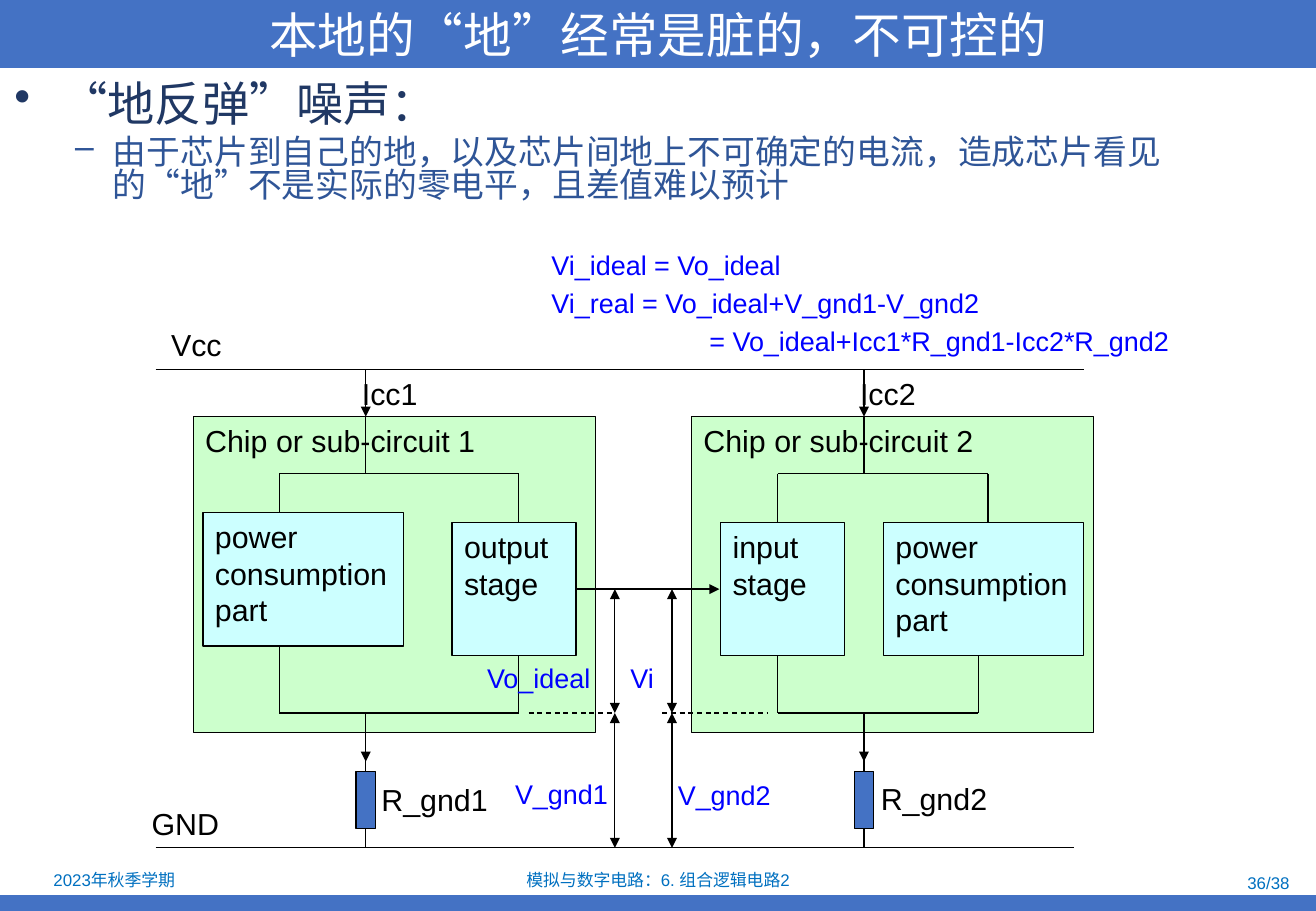
import dataclasses

import pptx
import pptx.dml.color
import pptx.enum.dml
import pptx.enum.shapes
import pptx.enum.text
import pptx.oxml
import pptx.oxml.ns
import pptx.util
from pptx.util import Inches

COLORS = {
    "bar": "4472C4", "title": "FFFFFF", "footer": "0070C0",
    "heading": "203864", "detail": "2F5597", "chip": "CCFFCC",
    "stage": "CCFFFF", "ink": "000000", "formula": "0000FF",
}
LATIN, CHINESE = "Arial", "Noto Sans CJK SC"
ALIGN = pptx.enum.text.PP_ALIGN
ANCHOR = pptx.enum.text.MSO_ANCHOR

VCC_Y, GND_Y = 3.04, 6.98
CHIP_TOP, CHIP_WIDTH, CHIP_HEIGHT = 3.43, 3.31, 2.6
TOP_BUS_Y, BOTTOM_BUS_Y, SIGNAL_Y = 3.9, 5.87, 4.85
RESISTOR_TOP, RESISTOR_BOTTOM = 6.35, 6.82


@dataclasses.dataclass
class Stage:
    text: str
    left: float
    top: float
    width: float


@dataclasses.dataclass
class Chip:
    name: str
    left: float
    stages: list[Stage]
    top_ends: tuple[float, float]
    bottom_ends: tuple[float, float]

    @property
    def supply_x(self) -> float:
        return self.left + 1.42


@dataclasses.dataclass
class Label:
    text: str
    left: float
    top: float
    width: float
    size: float = 18
    color: str = "ink"


CHIPS = [
    Chip("Chip or sub-circuit 1", 1.59,
         [Stage("power\nconsumption\npart", 1.67, 4.22, 1.65),
          Stage("output\nstage", 3.72, 4.3, 1.02)],
         (2.3, 4.27), (2.3, 4.27)),
    Chip("Chip or sub-circuit 2", 5.69,
         [Stage("input\nstage", 5.93, 4.3, 1.02),
          Stage("power\nconsumption\npart", 7.27, 4.3, 1.65)],
         (6.4, 8.13), (6.4, 8.05)),
]
LABELS = [
    Label("Vcc", 0.81, 2.64, 1.34),
    Label("GND", 0.65, 6.58, 1.34),
    Label("Icc1", 2.38, 3.04, 1.34),
    Label("Icc2", 6.48, 3.04, 1.34),
    Label("R_gnd1", 2.54, 6.38, 1.81),
    Label("R_gnd2", 6.65, 6.37, 1.81),
    Label("Vo_ideal", 3.41, 5.4, 1.89, 16, "formula"),
    Label("Vi", 4.59, 5.4, 1.02, 16, "formula"),
    Label("V_gnd1", 3.64, 6.35, 1.58, 16, "formula"),
    Label("V_gnd2", 4.98, 6.36, 1.58, 16, "formula"),
]


def rgb(name: str) -> pptx.dml.color.RGBColor:
    return pptx.dml.color.RGBColor.from_string(COLORS[name])


def style(para, size: float, color: str, latin: str = LATIN) -> None:
    for span in para.runs:
        span.font.size = pptx.util.Pt(size)
        span.font.name = latin
        span.font.color.rgb = rgb(color)
        span.font.language_id = pptx.enum.lang.MSO_LANGUAGE_ID.SIMPLIFIED_CHINESE
        east = pptx.oxml.parse_xml(
            f'<a:ea {pptx.oxml.ns.nsdecls("a")} typeface="{CHINESE}"/>')
        span.font._element.find(pptx.oxml.ns.qn("a:latin")).addnext(east)


def indent(para, left: float, first: float = 0, bullet: str = "") -> None:
    properties = para._p.get_or_add_pPr()
    properties.set("marL", str(Inches(left)))
    properties.set("indent", str(Inches(first)))
    if bullet:
        properties.append(pptx.oxml.parse_xml(
            f'<a:buChar {pptx.oxml.ns.nsdecls("a")} char="{bullet}"/>'))


def add_text(slide, text: str, left: float, top: float, width: float, height: float):
    box = slide.shapes.add_textbox(*map(Inches, (left, top, width, height)))
    box.text_frame.word_wrap = True
    box.text_frame.text = text
    return box.text_frame


def add_rect(slide, left: float, top: float, width: float, height: float,
             fill: str, outlined: bool = True, text: str = "") -> None:
    shape = slide.shapes.add_shape(pptx.enum.shapes.MSO_SHAPE.RECTANGLE,
                                   *map(Inches, (left, top, width, height)))
    shape.shadow.inherit = False
    shape.fill.solid()
    shape.fill.fore_color.rgb = rgb(fill)
    if outlined:
        shape.line.color.rgb = rgb("ink")
        shape.line.width = pptx.util.Pt(0.75)
    else:
        shape.line.fill.background()
    if text:
        frame = shape.text_frame
        frame.text = text
        frame.word_wrap = False
        frame.vertical_anchor = ANCHOR.TOP
        for para in frame.paragraphs:
            para.alignment = ALIGN.LEFT
            style(para, 18, "ink")


def add_line(slide, x1: float, y1: float, x2: float, y2: float,
             arrows: tuple[str, ...] = (), dashed: bool = False) -> None:
    line = slide.shapes.add_connector(pptx.enum.shapes.MSO_CONNECTOR.STRAIGHT,
                                      *map(Inches, (x1, y1, x2, y2)))
    line.line.color.rgb = rgb("ink")
    line.line.width = pptx.util.Pt(0.75)
    if dashed:
        line.line.dash_style = pptx.enum.dml.MSO_LINE.DASH
    namespace = pptx.oxml.ns.nsdecls("a")
    for end in arrows:
        line.line._get_or_add_ln().append(
            pptx.oxml.parse_xml(f'<a:{end} {namespace} type="triangle"/>'))
    line._element.spPr.append(pptx.oxml.parse_xml(f"<a:effectLst {namespace}/>"))


def add_chip(slide, chip: Chip) -> None:
    x = chip.supply_x
    add_rect(slide, chip.left, CHIP_TOP, CHIP_WIDTH, CHIP_HEIGHT, "chip", text=chip.name)
    for stage, top_x, bottom_x in zip(chip.stages, chip.top_ends, chip.bottom_ends):
        add_rect(slide, stage.left, stage.top, stage.width, 1.1, "stage", text=stage.text)
        add_line(slide, top_x, TOP_BUS_Y, top_x, stage.top)
        add_line(slide, bottom_x, stage.top + 1.1, bottom_x, BOTTOM_BUS_Y)
    for ends, y in ((chip.top_ends, TOP_BUS_Y), (chip.bottom_ends, BOTTOM_BUS_Y)):
        add_line(slide, ends[0], y, ends[1], y)
    # Supply current, ground current and ground resistance
    add_line(slide, x, VCC_Y, x, CHIP_TOP, ("tailEnd",))
    add_line(slide, x, CHIP_TOP, x, TOP_BUS_Y)
    add_line(slide, x, BOTTOM_BUS_Y, x, 6.27, ("tailEnd",))
    add_line(slide, x, BOTTOM_BUS_Y, x, RESISTOR_TOP)
    add_rect(slide, x - 0.08, RESISTOR_TOP, 0.16, RESISTOR_BOTTOM - RESISTOR_TOP, "bar")
    add_line(slide, x, RESISTOR_BOTTOM, x, GND_Y)


def add_heading(slide) -> None:
    title = slide.shapes.title
    title.left, title.top, title.width, title.height = map(Inches, (0, 0, 10.83, 0.56))
    title.fill.solid()
    title.fill.fore_color.rgb = rgb("bar")
    title.text_frame.text = "本地的“地”经常是脏的，不可控的"
    title.text_frame.vertical_anchor = ANCHOR.MIDDLE
    title.text_frame.paragraphs[0].alignment = ALIGN.CENTER
    style(title.text_frame.paragraphs[0], 28.8, "title", CHINESE)

    body = add_text(slide, "“地反弹”噪声：\n由于芯片到自己的地，以及芯片间地上不可确定的电流，"
                    "造成芯片看见的“地”不是实际的零电平，且差值难以预计", 0.02, 0.64, 10.81, 6.5)
    heading, detail = body.paragraphs
    heading.line_spacing = detail.line_spacing = 0.83
    detail.space_before = pptx.util.Pt(4)
    indent(heading, 0.38, -0.38, "•")
    indent(detail, 0.81, -0.31, "–")
    style(heading, 28, "heading")
    style(detail, 20, "detail")


def add_footer(slide) -> None:
    add_rect(slide, 0, 7.37, 10.83, 0.13, "bar", outlined=False)
    for text, place, align in (
            ("2023年秋季学期", (0.02, 7.13, 1.84, 0.23), ALIGN.CENTER),
            ("模拟与数字电路：6. 组合逻辑电路2", (3.7, 7.14, 3.43, 0.21), ALIGN.CENTER),
            ("36/38", (8.18, 7.16, 2.53, 0.21), ALIGN.RIGHT)):
        frame = add_text(slide, text, *place)
        frame.vertical_anchor = ANCHOR.MIDDLE
        frame.paragraphs[0].alignment = align
        style(frame.paragraphs[0], 10, "footer")


def add_circuit(slide) -> None:
    for chip in CHIPS:
        add_chip(slide, chip)
    # Supply rails and the signal between the chips
    add_line(slide, 1.28, VCC_Y, 8.92, VCC_Y)
    add_line(slide, 1.28, GND_Y, 8.84, GND_Y)
    add_line(slide, 4.74, SIGNAL_Y, 5.92, SIGNAL_Y, ("tailEnd",))
    # Voltage measures against each local ground
    for x, dash_start, dash_end in ((5.06, 4.35, 5.06), (5.53, 5.45, 6.32)):
        add_line(slide, dash_start, BOTTOM_BUS_Y, dash_end, BOTTOM_BUS_Y, dashed=True)
        for top, bottom in ((SIGNAL_Y, BOTTOM_BUS_Y), (BOTTOM_BUS_Y, GND_Y)):
            add_line(slide, x, top, x, bottom, ("headEnd", "tailEnd"))
    for label in LABELS:
        frame = add_text(slide, label.text, label.left, label.top, label.width, 0.4)
        indent(frame.paragraphs[0], 0.5)
        style(frame.paragraphs[0], label.size, label.color)
    # Formulas
    formulas = add_text(slide, "Vi_ideal = Vo_ideal\nVi_real = Vo_ideal+V_gnd1-V_gnd2\n"
                        "= Vo_ideal+Icc1*R_gnd1-Icc2*R_gnd2", 3.94, 2, 6.76, 1.02)
    for index, (para, left) in enumerate(zip(formulas.paragraphs, (0.5, 0.5, 1.8))):
        if index:
            para.space_before = pptx.util.Pt(3.2)
        indent(para, left)
        style(para, 16, "formula")


def main() -> None:
    deck = pptx.Presentation()
    deck.slide_width, deck.slide_height = Inches(10.83), Inches(7.5)
    slide = deck.slides.add_slide(deck.slide_layouts[5])
    add_heading(slide)
    add_footer(slide)
    add_circuit(slide)
    deck.save("out.pptx")


if __name__ == "__main__":
    main()
